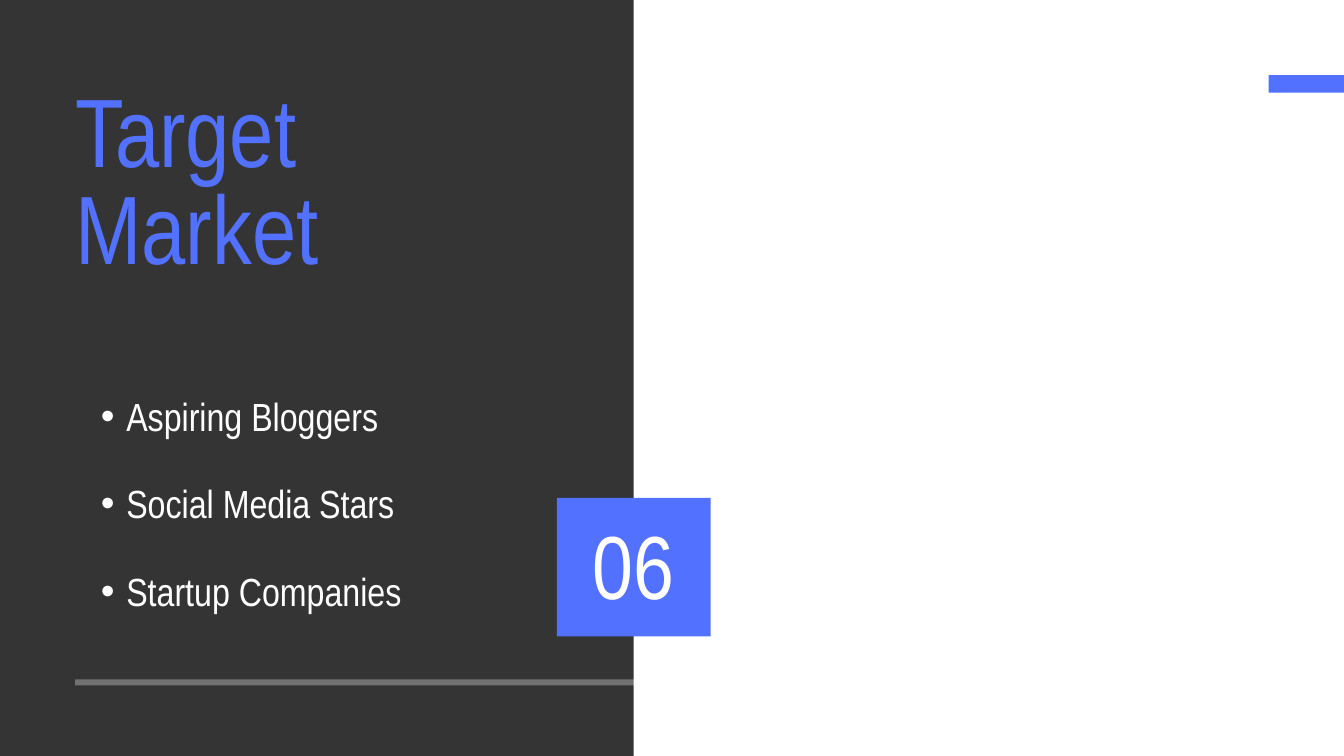
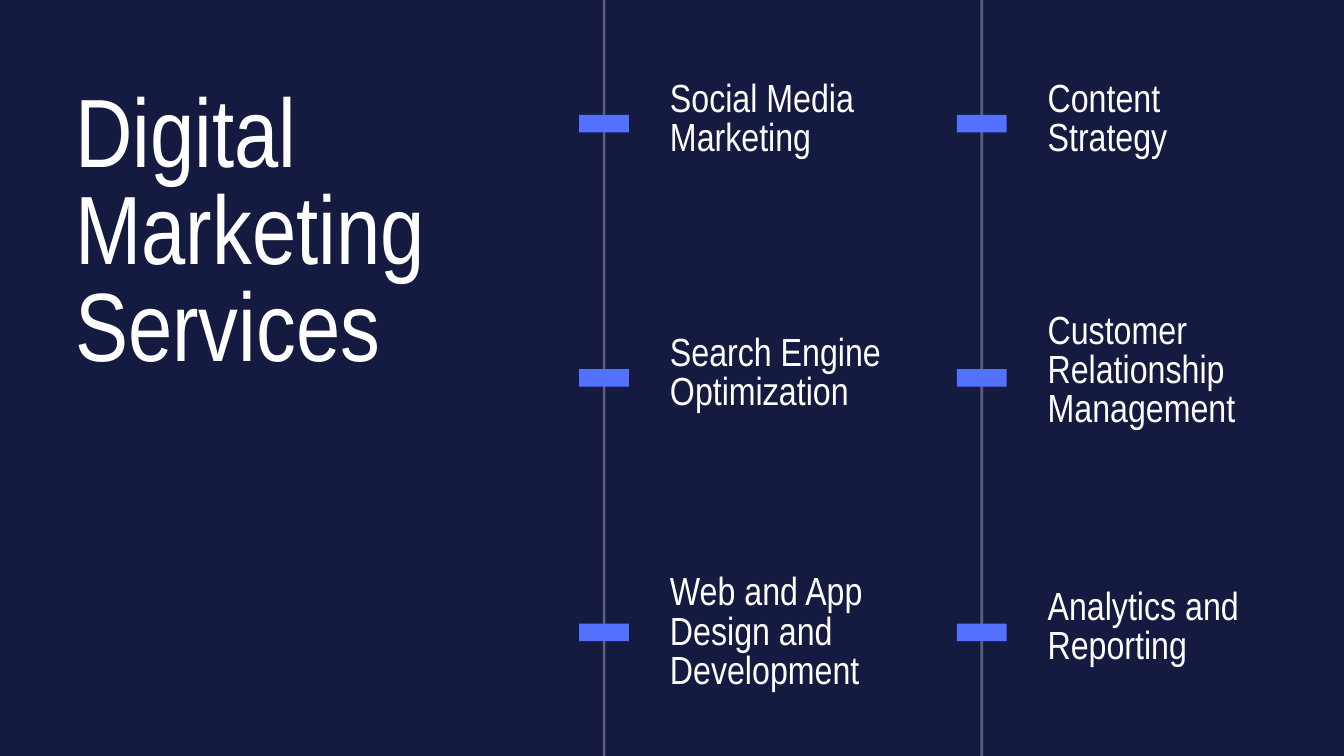
from dataclasses import dataclass

from lxml import etree
from pptx import Presentation
from pptx import util as u
from pptx.dml.color import RGBColor
from pptx.enum import shapes, text
from pptx.oxml.ns import qn


@dataclass(frozen=True)
class Theme:
    font: str = "Arial Narrow"
    blue: str = "5271FF"
    navy: str = "151B40"
    charcoal: str = "1E1E1E"
    white: str = "FFFFFF"
    title: float = 104
    number: float = 96
    body: float = 42
    width: float = 20
    height: float = 11.25
    margin: float = 1.12
    tick: float = 0.26
    faint: int = 30


T = Theme()


# Shared parts
def new_slide(prs, color):
    s = prs.slides.add_slide(prs.slide_layouts[6])
    s.background.fill.solid()
    s.background.fill.fore_color.rgb = RGBColor.from_string(color)
    return s


def add_rect(s, box, color, alpha=100):
    sp = s.shapes.add_shape(shapes.MSO_SHAPE.RECTANGLE, *map(u.Inches, box))
    sp.shadow.inherit = False
    sp.line.fill.background()
    sp.fill.solid()
    sp.fill.fore_color.rgb = RGBColor.from_string(color)
    if alpha < 100:
        clr = sp.fill._xPr.find(qn("a:solidFill"))[0]
        etree.SubElement(clr, qn("a:alpha"), val=str(alpha * 1000))


def add_text(s, box, words, size, color=T.white, spacing=None,
             align=text.PP_ALIGN.LEFT, bullet=False):
    tf = s.shapes.add_textbox(*map(u.Inches, box)).text_frame
    tf.word_wrap = True
    tf.auto_size = text.MSO_AUTO_SIZE.SHAPE_TO_FIT_TEXT
    tf.margin_left = tf.margin_top = tf.margin_right = tf.margin_bottom = 0
    p = tf.paragraphs[0]
    p.alignment = align
    p.line_spacing = u.Pt(spacing or size)
    if bullet:
        p.level = 1
        pPr = p._p.get_or_add_pPr()
        pPr.set("marL", str(u.Inches(0.76)))
        pPr.set("indent", str(u.Inches(-0.38)))
        etree.SubElement(pPr, qn("a:buFont"), typeface="Arial")
        etree.SubElement(pPr, qn("a:buChar"), char="•")
    r = p.add_run()
    r.text = words
    r.font.name = T.font
    r.font.size = u.Pt(size)
    r.font.color.rgb = RGBColor.from_string(color)


def add_title(s, words, color, height):
    add_text(s, (T.margin, 1.34, 6.1, height), words, T.title, color)


# Slide 1 regions
def bullet_list(s, box, items):
    x, y, w, pitch = box
    for i, item in enumerate(items):
        add_text(s, (x, y + i * pitch, w, 0.64), item, T.body, bullet=True)


def number_badge(s, box, number):
    x, y, w, h = box
    add_rect(s, box, T.blue)
    add_text(s, (x + 0.17, y + 0.57, w - 0.35, 1.39), number, T.number,
             spacing=87.3, align=text.PP_ALIGN.CENTER)


def market_slide(prs):
    s = new_slide(prs, T.white)
    panel_w = 9.43
    add_rect(s, (0, 0, panel_w, T.height), T.charcoal, 90)
    add_title(s, "Target Market", T.blue, 2.95)
    bullet_list(s, (T.margin, 5.95, 6.04, 1.305),
                ["Aspiring Bloggers", "Social Media Stars", "Startup Companies"])
    badge_w = 2.29
    number_badge(s, (panel_w - badge_w / 2, 7.41, badge_w, 2.06), "06")
    # Corner accent and bottom rule
    right = T.width - T.margin
    add_rect(s, (right, T.margin, T.margin, T.tick), T.blue)
    add_rect(s, (T.margin, 10.11, right - T.margin, 0.09), T.white, T.faint)


# Slide 2 regions
def timeline(s, box, labels):
    """Vertical line with one tick per label; each label is (top, height, words)."""
    x, y, w, h = box
    tick_w, tick_top, tick_pitch = 0.74, 1.71, 3.785
    add_rect(s, (x - 0.02, y, 0.04, h), T.white, T.faint)
    for i, (top, label_h, words) in enumerate(labels):
        add_rect(s, (x - tick_w / 2, y + tick_top + i * tick_pitch, tick_w, T.tick),
                 T.blue)
        add_text(s, (x + 0.98, y + top, w - 0.98, label_h), words, T.body)


def services_slide(prs):
    s = new_slide(prs, T.navy)
    add_title(s, "Digital Marketing Services", T.white, 4.39)
    two_lines, three_lines = 1.21, 1.79
    columns = [
        [(1.2, two_lines, "Social Media Marketing"),
         (4.98, two_lines, "Search Engine Optimization"),
         (8.55, three_lines, "Web and App Design and Development")],
        [(1.2, two_lines, "Content Strategy"),
         (4.66, three_lines, "Customer Relationship Management"),
         (8.76, two_lines, "Analytics and Reporting")],
    ]
    for i, labels in enumerate(columns):
        timeline(s, (8.99 + i * 5.62, 0, 4.26, T.height), labels)


def main():
    prs = Presentation()
    prs.slide_width = u.Inches(T.width)
    prs.slide_height = u.Inches(T.height)
    market_slide(prs)
    services_slide(prs)
    prs.save("out.pptx")


if __name__ == "__main__":
    main()
